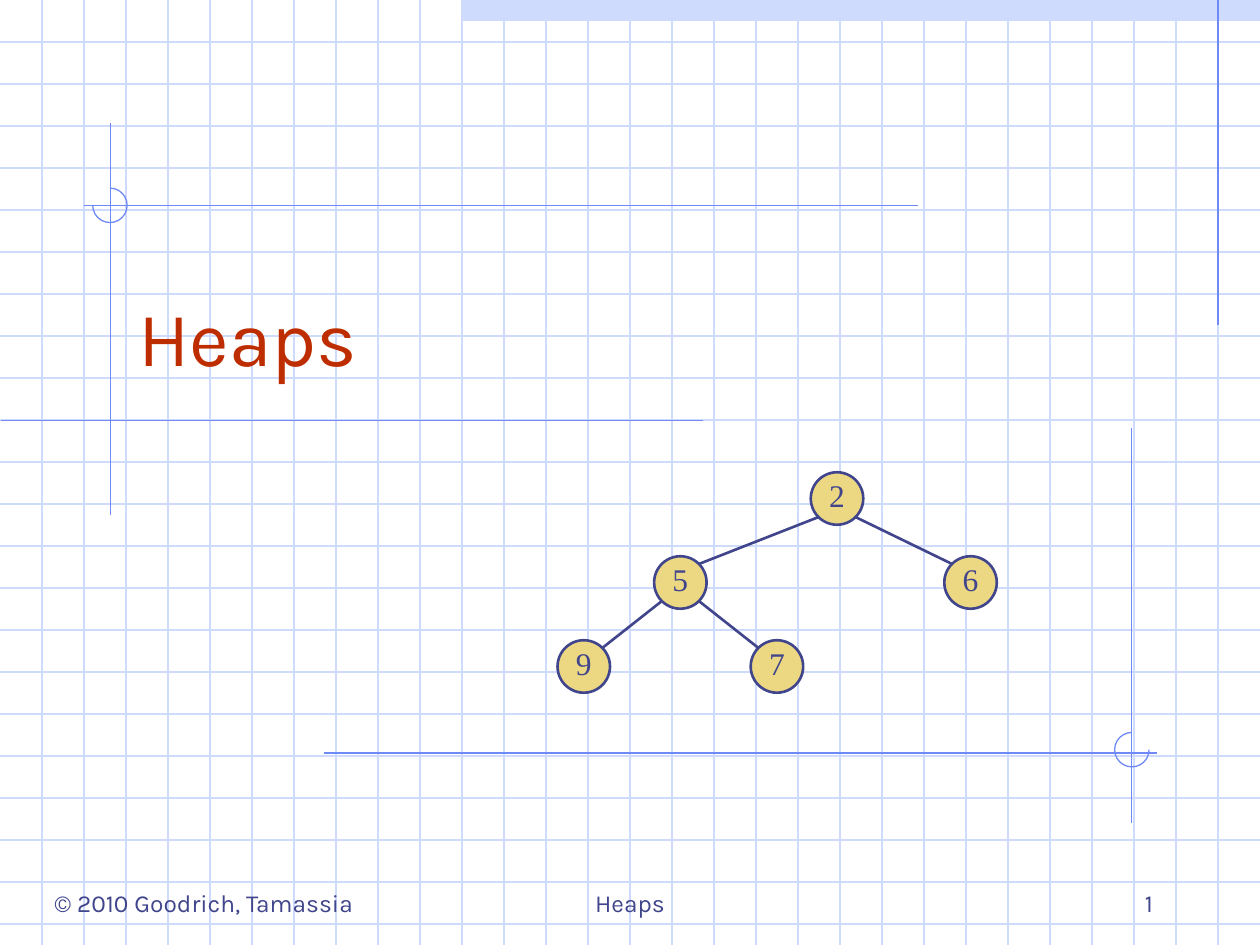
from math import sqrt

from lxml.etree import SubElement
from pptx import Presentation
from pptx.dml.color import RGBColor
from pptx.enum.shapes import MSO_CONNECTOR, MSO_SHAPE
from pptx.enum.text import MSO_ANCHOR as Anchor, PP_ALIGN as Align
from pptx.oxml.ns import qn
from pptx.util import Inches, Pt

WIDTH, HEIGHT = 10, 7.5
COLUMNS = 30
CELL = WIDTH / COLUMNS
ROWS = HEIGHT / CELL

COLORS = {
    "paper": "FFFFFF", "grid": "CFDBFD", "accent": "6F89F7",
    "ink": "40458C", "title": "BE2D00", "node": "ECD882",
}

BAND = (11, 0, 19, 0.5)
ACCENT_LINES = [
    (29, 0, 29, 7.75),
    (2.63, 2.92, 2.63, 12.26),
    (0.02, 10.02, 16.74, 10.02),
    (2, 4.89, 21.85, 4.89),
    (7.71, 17.93, 27.55, 17.93),
    (26.94, 10.18, 26.94, 19.6),
]
ARC_SIZE = 0.82
ARCS = [(2.62, 4.89, 270, 180), (26.95, 17.85, 0, 270)]

TEXTS = [
    ("Heaps", (3, 5.5, 25.5, 3.75), 44, "title", Align.LEFT),
    ("© 2010 Goodrich, Tamassia", (1, 20.5, 8.75, 1.5), 14, "ink", Align.LEFT),
    ("Heaps", (10.25, 20.5, 9.5, 1.5), 14, "ink", Align.CENTER),
    ("1", (21.5, 20.5, 6.25, 1.5), 14, "ink", Align.RIGHT),
]

NODE_SIZE = 1.25
ROOT_ROW, LEVEL_GAP = 11.87, 2
NODES = {"2": (19.93, 0), "5": (16.2, 1), "6": (23.11, 1),
         "9": (13.9, 2), "7": (18.5, 2)}
EDGES = [("2", "5"), ("2", "6"), ("5", "9"), ("5", "7")]


def color(name):
    return RGBColor.from_string(COLORS[name])


def cells(*values):
    return [Inches(value * CELL) for value in values]


def centered(column, row, size):
    return cells(column - size / 2, row - size / 2, size, size)


def add_line(shapes, ends, color_name, width=0.75):
    line = shapes.add_connector(MSO_CONNECTOR.STRAIGHT, *cells(*ends))
    line.line.color.rgb = color(color_name)
    line.line.width = Pt(width)
    SubElement(line._element.spPr, qn("a:effectLst"))


def add_shape(shapes, kind, box, fill=None, line=None, width=0.75):
    shape = shapes.add_shape(kind, *box)
    shape.shadow.inherit = False
    if fill:
        shape.fill.solid()
        shape.fill.fore_color.rgb = color(fill)
    else:
        shape.fill.background()
    if line:
        shape.line.color.rgb = color(line)
        shape.line.width = Pt(width)
    else:
        shape.line.fill.background()
    return shape


def set_text(shape, text, font_name, size, color_name, align, anchor):
    frame = shape.text_frame
    frame.text = text
    frame.vertical_anchor = anchor
    paragraph = frame.paragraphs[0]
    paragraph.alignment = align
    font = paragraph.runs[0].font
    font.name, font.size = font_name, Pt(size)
    font.color.rgb = color(color_name)
    return frame


def add_background(shapes):
    add_shape(shapes, MSO_SHAPE.RECTANGLE, cells(*BAND), fill="grid")
    for row in range(1, int(ROWS) + 1):
        add_line(shapes, (0, row, COLUMNS, row), "grid")
    for column in range(1, COLUMNS):
        add_line(shapes, (column, 0, column, ROWS), "grid")
    for ends in ACCENT_LINES:
        add_line(shapes, ends, "accent")
    for column, row, start, end in ARCS:
        arc = add_shape(shapes, MSO_SHAPE.ARC, centered(column, row, ARC_SIZE),
                        line="accent")
        arc.adjustments[0] = start * 0.6
        arc.adjustments[1] = end * 0.6


def add_texts(shapes):
    for text, box, size, color_name, align in TEXTS:
        text_box = shapes.add_textbox(*cells(*box))
        frame = set_text(text_box, text, "Karla", size, color_name, align, Anchor.BOTTOM)
        frame.word_wrap = True


def add_tree(shapes):
    centers = {key: (column, ROOT_ROW + level * LEVEL_GAP)
               for key, (column, level) in NODES.items()}
    reach = NODE_SIZE / 2 / sqrt(2)
    for parent, child in EDGES:
        (x1, y1), (x2, y2) = centers[parent], centers[child]
        side = reach if x2 > x1 else -reach
        add_line(shapes, (x1 + side, y1 + reach, x2 - side, y2 - reach), "ink", 1.5)
    for key, center in centers.items():
        node = add_shape(shapes, MSO_SHAPE.OVAL, centered(*center, NODE_SIZE),
                         "node", "ink", 1.5)
        frame = set_text(node, key, "Times New Roman", 18, "ink",
                         Align.CENTER, Anchor.MIDDLE)
        frame.word_wrap = False
        frame.margin_left = frame.margin_right = frame.margin_top = 0
        frame.margin_bottom = Inches(0.05)


def main():
    presentation = Presentation()
    presentation.slide_width, presentation.slide_height = Inches(WIDTH), Inches(HEIGHT)
    slide = presentation.slides.add_slide(presentation.slide_layouts[6])
    slide.background.fill.solid()
    slide.background.fill.fore_color.rgb = color("paper")
    add_background(slide.shapes)
    add_texts(slide.shapes)
    add_tree(slide.shapes)
    presentation.save("out.pptx")


if __name__ == "__main__":
    main()
